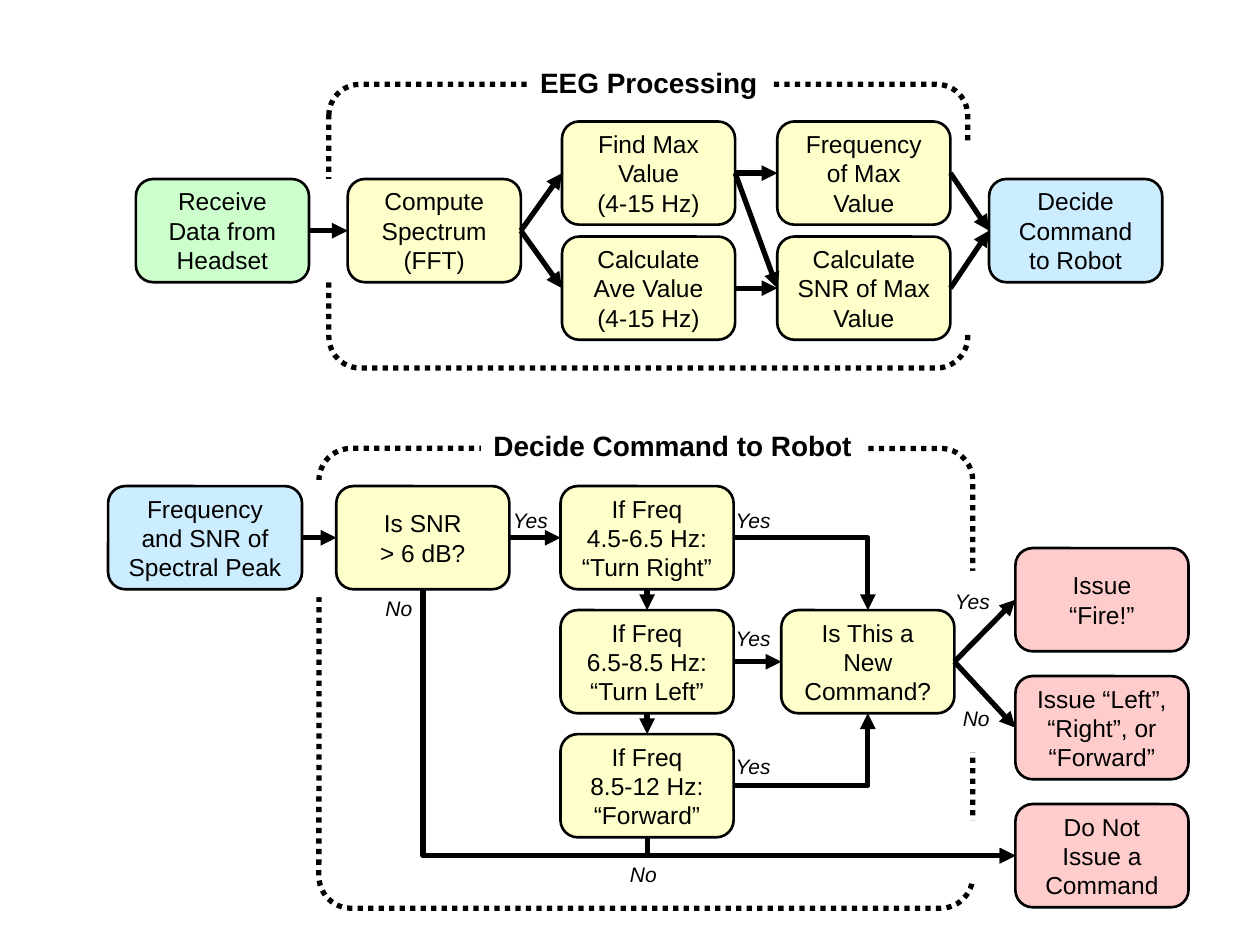
from lxml.etree import SubElement
from pptx import Presentation
from pptx.dml.color import RGBColor
from pptx.enum.dml import MSO_LINE
from pptx.enum.shapes import MSO_CONNECTOR, MSO_SHAPE
from pptx.enum.text import MSO_ANCHOR, PP_ALIGN
from pptx.oxml.ns import qn
from pptx.util import Cm, Pt

BLACK, WHITE = "000000", "FFFFFF"
YELLOW, GREEN, BLUE, RED = "FFFFCC", "CCFFCC", "CCECFF", "FFCCCC"
BOX_WIDTH, BOX_HEIGHT = 3.49, 2.08
TOP, LEFT, BOTTOM, RIGHT = range(4)  # connection sites of a box


def color(value):
    return RGBColor.from_string(value)


def set_text(shape, text, size, align=PP_ALIGN.CENTER, bold=False, italic=False):
    frame = shape.text_frame
    frame.text = text
    for paragraph in frame.paragraphs:
        paragraph.alignment = align
        font = paragraph.font
        font.name, font.size = "Arial", Pt(size)
        font.bold, font.italic = bold, italic
        font.color.rgb = color(BLACK)
    return frame


def add_box(page, text, left, top, fill=YELLOW, width=BOX_WIDTH):
    box = page.shapes.add_shape(MSO_SHAPE.ROUNDED_RECTANGLE, Cm(left), Cm(top),
                                Cm(width), Cm(BOX_HEIGHT))
    box.shadow.inherit = False
    box.fill.solid()
    box.fill.fore_color.rgb = color(fill)
    box.line.color.rgb = color(BLACK)
    box.line.width = Pt(1.5)
    frame = set_text(box, text, 14)
    frame.word_wrap = True
    frame.vertical_anchor = MSO_ANCHOR.MIDDLE
    return box


def add_frame(page, left, top, width, height, corner, gaps):
    """Dotted outline, opened by white gaps where the arrows pass."""
    outline = page.shapes.add_shape(MSO_SHAPE.ROUNDED_RECTANGLE, Cm(left), Cm(top),
                                    Cm(width), Cm(height))
    outline.adjustments[0] = corner
    outline.shadow.inherit = False
    outline.fill.background()
    outline.line.color.rgb = color(BLACK)
    outline.line.width = Pt(3)
    outline.line.dash_style = MSO_LINE.ROUND_DOT
    for gap_place in gaps:
        gap = page.shapes.add_shape(MSO_SHAPE.RECTANGLE, *map(Cm, gap_place))
        gap.shadow.inherit = False
        gap.fill.solid()
        gap.fill.fore_color.rgb = color(WHITE)
        gap.line.fill.background()


def add_heading(page, text, left, top, width):
    heading = page.shapes.add_textbox(Cm(left), Cm(top), Cm(width), Cm(0.94))
    heading.fill.solid()
    heading.fill.fore_color.rgb = color(WHITE)
    frame = set_text(heading, text, 16, bold=True)
    frame.margin_left = frame.margin_right = 0
    frame.word_wrap = False


def add_label(page, text, left, top):
    width = 0.8 if text == "Yes" else 0.65
    label = page.shapes.add_textbox(Cm(left), Cm(top), Cm(width), Cm(0.51))
    frame = set_text(label, text, 12, PP_ALIGN.LEFT, italic=True)
    frame.margin_left = frame.margin_right = 0
    frame.margin_top = frame.margin_bottom = 0
    frame.word_wrap = False


def style_arrow(arrow):
    arrow.line.color.rgb = color(BLACK)
    arrow.line.width = Pt(3)
    SubElement(arrow.line._get_or_add_ln(), qn("a:tailEnd"), type="triangle")
    SubElement(arrow._element.spPr, qn("a:effectLst"))


def add_arrow(page, source, target, start=RIGHT, end=LEFT):
    arrow = page.shapes.add_connector(MSO_CONNECTOR.STRAIGHT, 0, 0, 0, 0)
    arrow.begin_connect(source, start)
    arrow.end_connect(target, end)
    style_arrow(arrow)


def site(box, side):
    """Middle of one side of a box."""
    across = {LEFT: 0, RIGHT: box.width}.get(side, box.width // 2)
    down = {TOP: 0, BOTTOM: box.height}.get(side, box.height // 2)
    return box.left + across, box.top + down


def add_elbow(page, source, target, start, end):
    """Arrow with one corner, leaving sideways or downwards."""
    (x1, y1), (x2, y2) = site(source, start), site(target, end)
    downwards = start == BOTTOM
    if downwards:  # a quarter turn swaps width and height about the centre
        x, y = (x1 + x2) // 2, (y1 + y2) // 2
        half_width, half_height = (x2 - x1) // 2, (y2 - y1) // 2
        x1, x2 = x + half_height, x - half_height
        y1, y2 = y - half_width, y + half_width
    arrow = page.shapes.add_connector(MSO_CONNECTOR.ELBOW, x1, y1, x2, y2)
    properties = arrow._element.spPr
    properties.find(qn("a:prstGeom")).set("prst", "bentConnector2")
    if downwards:
        properties.find(qn("a:xfrm")).set("rot", "16200000")
    style_arrow(arrow)


def draw_processing(page):
    top, middle, low = 2.45, 3.61, 4.77
    add_frame(page, 6.63, 1.7, 12.88, 5.72, 0.11,
              [(19.41, 2.92, 0.33, 3.76), (6.45, middle, 0.28, BOX_HEIGHT)])
    add_heading(page, "EEG Processing", 10.64, 1.19, 4.88)

    receive = add_box(page, "Receive Data from Headset", 2.74, middle, GREEN)
    spectrum = add_box(page, "Compute Spectrum\n(FFT)", 7.01, middle)
    maximum = add_box(page, "Find Max Value\n(4-15 Hz)", 11.33, top)
    average = add_box(page, "Calculate Ave Value\n(4-15 Hz)", 11.33, low)
    frequency = add_box(page, "Frequency of Max Value", 15.67, top)
    ratio = add_box(page, "Calculate SNR of Max Value", 15.67, low)
    decide = add_box(page, "Decide\nCommand\nto Robot", 19.94, middle, BLUE)

    for source, target in [(receive, spectrum), (spectrum, maximum), (spectrum, average),
                           (maximum, frequency), (maximum, ratio), (average, ratio),
                           (frequency, decide), (ratio, decide)]:
        add_arrow(page, source, target)


def draw_decision(page):
    add_frame(page, 6.43, 9.04, 13.18, 9.27, 0.07,
              [(19.43, 16.54, 0.3, 1.19), (19.51, 11.51, 0.28, 3.66),
               (6.3, 9.68, 0.28, 2.36)])
    add_heading(page, "Decide Command to Robot", 9.7, 8.51, 7.72)

    # Questions and outcomes
    first_row, row_step = 9.8, 2.5
    peak = add_box(page, "Frequency and SNR of Spectral Peak", 2.18, first_row, BLUE, 3.91)
    strong = add_box(page, "Is SNR\n> 6 dB?", 6.78, first_row)
    bands = ["4.5-6.5 Hz:\n“Turn Right”", "6.5-8.5 Hz:\n“Turn Left”",
             "8.5-12 Hz:\n“Forward”"]
    right, left, forward = [add_box(page, "If Freq\n" + band, 11.3, first_row + row * row_step)
                            for row, band in enumerate(bands)]
    new = add_box(page, "Is This a New Command?", 15.75, first_row + row_step)
    outcomes = ["Issue\n“Fire!”", "Issue “Left”, “Right”, or “Forward”",
                "Do Not Issue a Command"]
    fire, move, nothing = [add_box(page, outcome, 20.47, 11.05 + row * 2.58, RED)
                           for row, outcome in enumerate(outcomes)]

    # Arrows
    for source, target in [(peak, strong), (strong, right), (left, new),
                           (new, fire), (new, move)]:
        add_arrow(page, source, target)
    for source, target in [(right, left), (left, forward)]:
        add_arrow(page, source, target, BOTTOM, TOP)
    add_elbow(page, right, new, RIGHT, TOP)
    add_elbow(page, forward, new, RIGHT, BOTTOM)
    for source in (strong, forward):
        add_elbow(page, source, nothing, BOTTOM, LEFT)

    # Answers
    for text, x, y in [("Yes", 10.34, 10.24), ("Yes", 14.83, 10.24), ("Yes", 14.83, 12.62),
                       ("Yes", 14.83, 15.19), ("Yes", 19.25, 11.86), ("No", 19.41, 14.22),
                       ("No", 7.77, 12.01), ("No", 12.7, 17.37)]:
        add_label(page, text, x, y)


def main():
    deck = Presentation()
    deck.slide_width, deck.slide_height = Cm(25.4), Cm(19.05)
    page = deck.slides.add_slide(deck.slide_layouts[6])
    draw_processing(page)
    draw_decision(page)
    deck.save("out.pptx")


if __name__ == "__main__":
    main()
